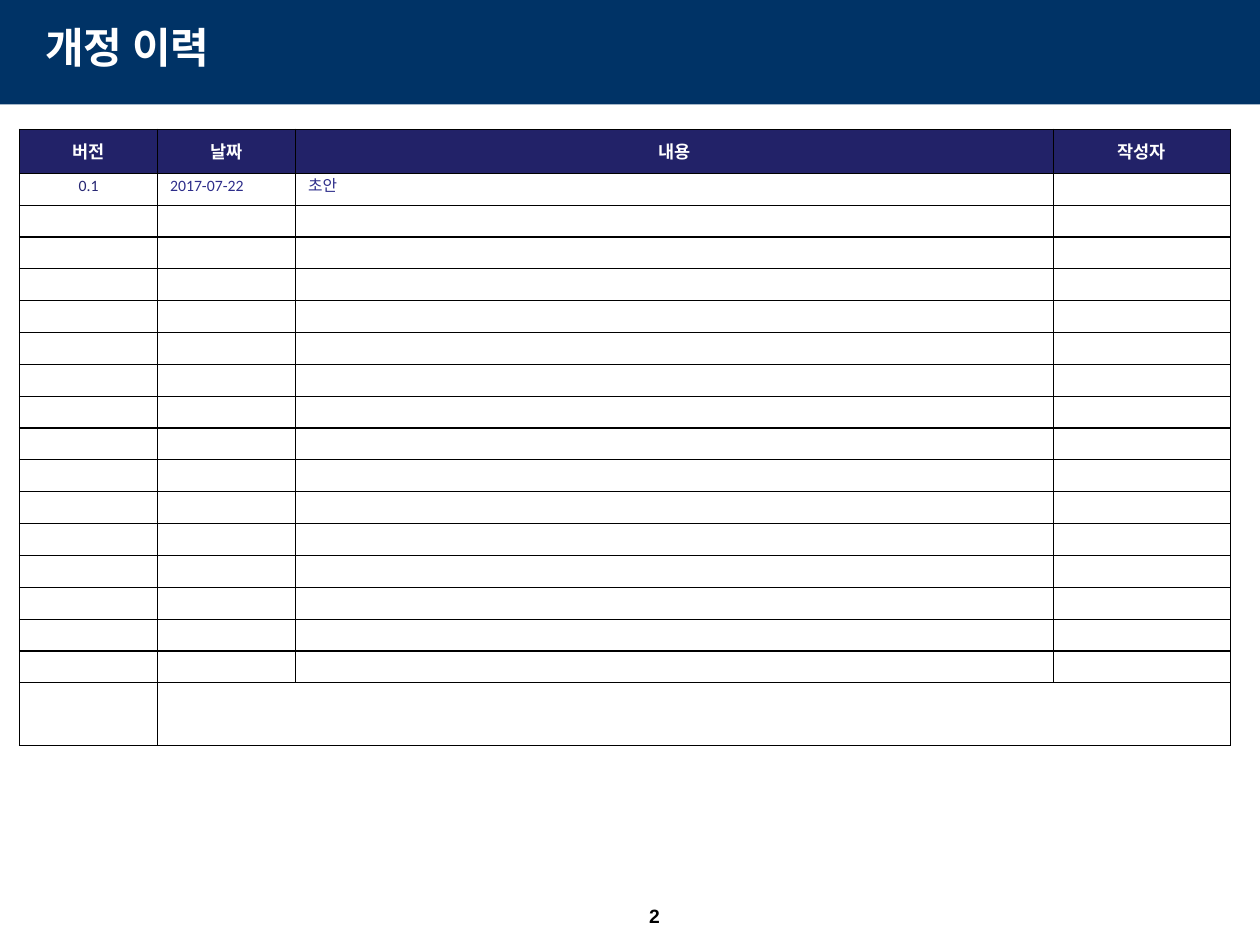
from dataclasses import dataclass
from lxml import etree
from pptx import Presentation
from pptx.dml.color import RGBColor
from pptx.enum.shapes import MSO_SHAPE
from pptx.enum.text import MSO_ANCHOR, PP_ALIGN
from pptx.oxml.ns import qn
from pptx.util import Inches, Pt

RECT = MSO_SHAPE.RECTANGLE
MID, TOP = MSO_ANCHOR.MIDDLE, MSO_ANCHOR.TOP
LEFT, MIDDLE = PP_ALIGN.LEFT, PP_ALIGN.CENTER
COLS, ROWS = 100, 75


@dataclass(frozen=True)
class Theme:
    """Colours, fonts and type sizes."""
    band: str = "003366"
    head: str = "222268"
    white: str = "FFFFFF"
    black: str = "000000"
    ink: str = "2D2D8A"
    deep: str = "262673"
    serif: str = "Times New Roman"
    sans: str = "Calibri"
    plain: str = "Arial"
    title: int = 24
    label: int = 10
    body: int = 9
    page: int = 11
    blank: int = 8
    rule: float = 0.75


class Deck:
    """Holds the style and the current slide."""

    def __init__(self, theme):
        """Start a deck with one title slide."""
        self.theme = theme
        self.deck = Presentation()
        self.deck.slide_width, self.deck.slide_height = Inches(10), Inches(7.5)
        self.slide = self.deck.slides.add_slide(self.deck.slide_layouts[5])

    def box(self, x, y, w, h):
        """Turn grid columns and rows into lengths."""
        wide, high = self.deck.slide_width / COLS, self.deck.slide_height / ROWS
        return int(x * wide), int(y * high), int(w * wide), int(h * high)

    def text(self, para, words, size, name, color, bold=False, align=LEFT, lead=None):
        """Put one styled run in a paragraph."""
        run = para.add_run()
        run.text = words
        for key, value in {"size": Pt(size), "name": name, "bold": bold}.items():
            setattr(run.font, key, value)
        run.font.color.rgb = RGBColor.from_string(color)
        for key, value in {"alignment": align, "line_spacing": lead}.items():
            setattr(para, key, value)

    def band(self, *area):
        """Draw the title band behind everything."""
        shape = self.slide.shapes.add_shape(RECT, *self.box(*area))
        shape.shadow.inherit = False
        shape.fill.solid()
        shape.fill.fore_color.rgb = RGBColor.from_string(self.theme.band)
        shape.line.fill.background()
        self.slide.shapes._spTree.insert(2, shape._element)

    def title(self, words, *area):
        """Move and fill the title placeholder."""
        shape = self.slide.shapes.title
        for key, value in zip(("left", "top", "width", "height"), self.box(*area)):
            setattr(shape, key, value)
        shape.text_frame.vertical_anchor = MID
        t = self.theme
        self.text(shape.text_frame.paragraphs[0], words, t.title, t.serif, t.white, True, lead=0.9)

    def page(self, words, *area):
        """Set the page number."""
        frame = self.slide.shapes.add_textbox(*self.box(*area)).text_frame
        margin = Inches(0.06)
        for key, value in {"margin_left": margin, "margin_right": margin, "margin_top": margin,
                           "margin_bottom": margin, "vertical_anchor": MID,
                           "word_wrap": False}.items():
            setattr(frame, key, value)
        t = self.theme
        self.text(frame.paragraphs[0], words, t.page, t.plain, t.black, True, MIDDLE)

    def edge(self, cell):
        """Rule all four sides of a cell."""
        props = cell._tc.get_or_add_tcPr()
        for side in ("lnL", "lnR", "lnT", "lnB"):
            line = etree.SubElement(props, qn("a:" + side), w=str(Pt(self.theme.rule)))
            fill = etree.SubElement(line, qn("a:solidFill"))
            etree.SubElement(fill, qn("a:srgbClr"), val=self.theme.black)

    def table(self, x, y, cols, rows, heads, entry):
        """Build the revision table."""
        t = self.theme
        area = self.box(x, y, sum(cols), sum(rows))
        grid = self.slide.shapes.add_table(len(rows), len(cols), *area).table
        grid.first_row = grid.horz_banding = False
        for col, wide in zip(grid.columns, cols):
            col.width = self.box(0, 0, wide, 0)[2]
        for row, high in zip(grid.rows, rows):
            row.height = self.box(0, 0, 0, high)[3]
        for i, row in enumerate(grid.rows):
            for cell in row.cells:
                self.edge(cell)
                cell.fill.background()
                cell.vertical_anchor = TOP if i else MID
                cell.margin_top = cell.margin_bottom = Inches(0.04)
                end = cell.text_frame.paragraphs[0]._p.get_or_add_endParaRPr()
                end.set("sz", str(t.blank * 100))
        for cell, words in zip(grid.rows[0].cells, heads):
            cell.fill.solid()
            cell.fill.fore_color.rgb = RGBColor.from_string(t.head)
            self.text(cell.text_frame.paragraphs[0], words, t.label, t.sans, t.white, True, MIDDLE)
        for cell, (words, name, color, align) in zip(grid.rows[1].cells, entry):
            self.text(cell.text_frame.paragraphs[0], words, t.body, name, color,
                      align=align, lead=Pt(10))
        last = len(rows) - 1
        grid.cell(last, 1).merge(grid.cell(last, len(cols) - 1))


def main():
    """Build and save the slide."""
    t = Theme()
    show = Deck(t)
    show.band(0, 0, COLS, 8.3)
    show.title("개정 이력", 2.6, 1.2, 90, 5.5)
    show.table(1.55, 10.25, [10.95, 10.95, 60.15, 14.05], [3.5] + [2.53] * 16 + [5],
               ["버전", "날짜", "내용", "작성자"],
               [("0.1", t.sans, t.deep, MIDDLE), ("2017-07-22", t.sans, t.ink, LEFT),
                ("초안", t.serif, t.ink, LEFT)])
    show.page("2", 48.6, 71.1, 6.7, 3.1)
    show.deck.save("out.pptx")


if __name__ == "__main__":
    main()
